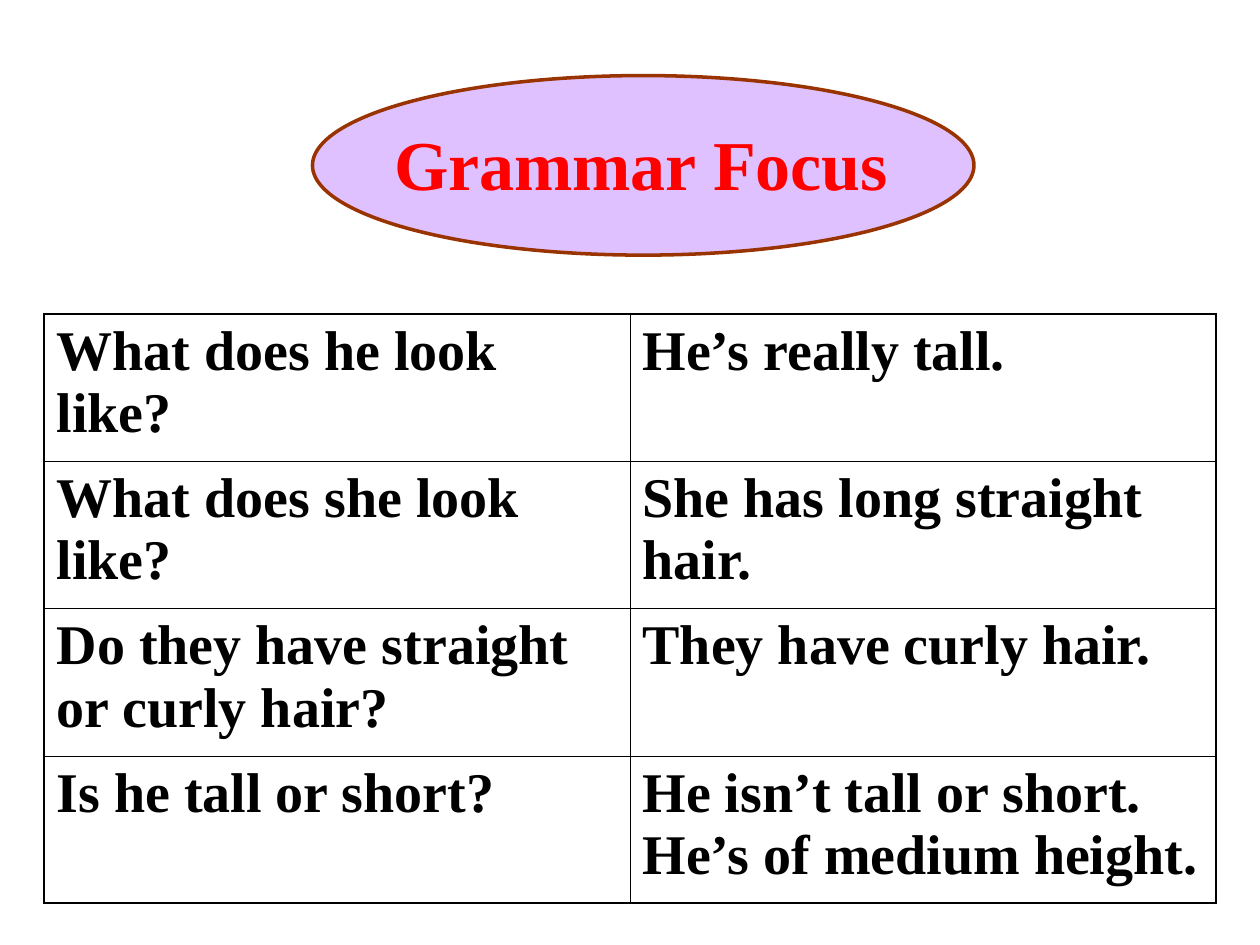
import pptx
import pptx.util
import pptx.dml.color
import pptx.enum.shapes
import pptx.enum.text
import lxml.etree
from pptx.oxml.ns import qn


def color(value):
    return pptx.dml.color.RGBColor.from_string(value)


def add_run(p, text, size, value):
    r = p.add_run()
    r.text = text
    r.font.name = "Times New Roman"
    r.font.size = pptx.util.Pt(size)
    r.font.bold = True
    r.font.color.rgb = color(value)


prs = pptx.Presentation()
prs.slide_width = pptx.util.Inches(10)
prs.slide_height = pptx.util.Inches(7.5)
W, H = prs.slide_width, prs.slide_height
s = prs.slides.add_slide(prs.slide_layouts[6])

sp = s.shapes.add_shape(
    pptx.enum.shapes.MSO_SHAPE.OVAL,
    int(W * 0.248), int(H * 0.08), int(W * 0.525), int(H * 0.19),
)
sp.shadow.inherit = False
sp.fill.solid()
sp.fill.fore_color.rgb = color("CC99FF")
fill = sp.fill._xPr.find(qn("a:solidFill"))
lxml.etree.SubElement(fill[0], qn("a:alpha"), val="60000")
sp.line.color.rgb = color("993300")
sp.line.width = pptx.util.Pt(2)

title = s.shapes.add_textbox(int(W * 0.303), int(H * 0.121), int(W * 0.414), int(H * 0.103))
tf = title.text_frame
tf.word_wrap = True
tf.auto_size = pptx.enum.text.MSO_AUTO_SIZE.SHAPE_TO_FIT_TEXT
add_run(tf.paragraphs[0], "Grammar Focus", 40, "FF0000")

rows = [
    ("What does he look like?", "He’s really tall."),
    ("What does she look like?", "She has long straight hair."),
    ("Do they have straight or curly hair?", "They have curly hair."),
    ("Is he tall or short?", "He isn’t tall or short. He’s of medium height."),
]
margin = 0.035
row_height = int(H * 0.156)
table = s.shapes.add_table(
    len(rows), 2,
    int(W * margin), int(H * 0.332), int(W * (1 - 2 * margin)), row_height * len(rows),
).table
table.first_row = False
table.horz_banding = False

for i, texts in enumerate(rows):
    table.rows[i].height = row_height
    for j, text in enumerate(texts):
        cell = table.cell(i, j)
        add_run(cell.text_frame.paragraphs[0], text, 32, "000000")
        tcPr = cell._tc.get_or_add_tcPr()
        outer = {"lnL": j == 0, "lnR": j == 1, "lnT": i == 0, "lnB": i == len(rows) - 1}
        for side, is_outer in outer.items():
            width = pptx.util.Pt(1.08 if is_outer else 0.45)
            ln = lxml.etree.SubElement(tcPr, qn("a:" + side), w=str(width))
            solid = lxml.etree.SubElement(ln, qn("a:solidFill"))
            lxml.etree.SubElement(solid, qn("a:srgbClr"), val="000000")
        cell.fill.background()

prs.save("out.pptx")
